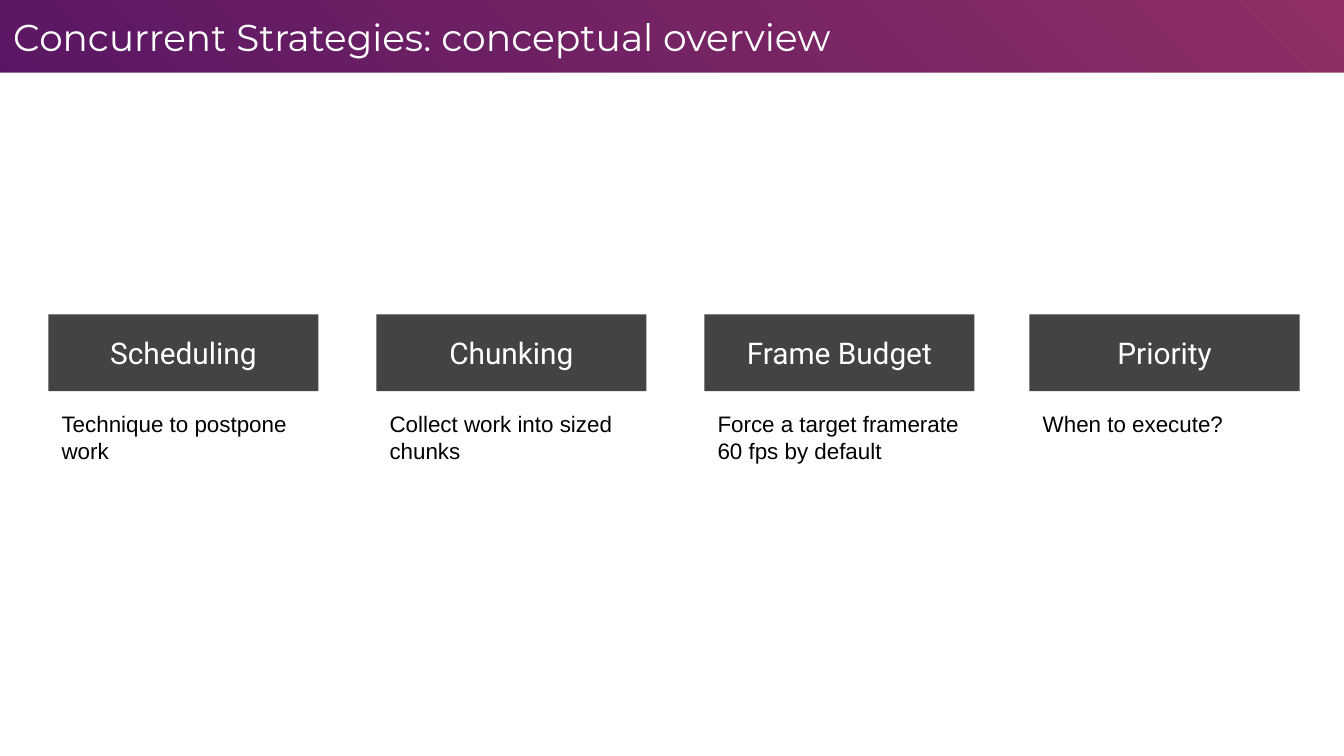
"""Build the conceptual overview slide of four concurrent strategies."""
from dataclasses import dataclass

from pptx import Presentation
from pptx.dml.color import RGBColor
from pptx.enum import shapes, text
from pptx.oxml import parse_xml
from pptx.util import Inches, Pt


@dataclass(frozen=True)
class Theme:
    gradient: tuple = ((0, "8F2F64"), (64, "5D1864"), (100, "2B0163"))
    white: str = "FFFFFF"
    header: str = "434343"
    body: str = "000000"
    title_font: str = "Montserrat"
    header_font: str = "Roboto"
    body_font: str = "Arial"
    title_size: float = 20
    subject_size: float = 20.2
    header_size: float = 16
    body_size: float = 12


THEME = Theme()
STRATEGIES = (
    (0.36, "Scheduling", "Technique to postpone work", 0.61),
    (2.8, "Chunking", "Collect work into sized chunks", 0.61),
    (5.24, "Frame Budget", "Force a target framerate\v60 fps by default", 0.61),
    (7.66, "Priority", "When to execute?", 0.4),
)
SLIDE_WIDTH = 10
SLIDE_HEIGHT = SLIDE_WIDTH * 9 / 16
BAND_HEIGHT = 0.54
COLUMN_WIDTH = 2.01
HEADER_TOP, HEADER_HEIGHT = 2.34, 0.57
BODY_TOP = 2.95


def paint_background(slide):
    stops = "".join(
        f'<a:gs pos="{position * 1000}"><a:srgbClr val="{color}"/></a:gs>'
        for position, color in THEME.gradient
    )
    slide.background.fill.solid()
    background = slide.element.cSld.bg.bgPr
    background.replace(background[0], parse_xml(
        '<a:gradFill xmlns:a="http://schemas.openxmlformats.org/drawingml/2006/main">'
        f'<a:gsLst>{stops}</a:gsLst><a:path path="circle">'
        '<a:fillToRect l="100000" b="100000"/></a:path></a:gradFill>'
    ))


def style_run(run, font, size, color):
    run.font.name = font
    run.font.size = Pt(size)
    run.font.color.rgb = RGBColor.from_string(color)


def write(frame, words, font, size, color, align=text.PP_ALIGN.LEFT,
          anchor=text.MSO_ANCHOR.TOP):
    frame.text = words
    frame.word_wrap = True
    frame.vertical_anchor = anchor
    frame.margin_left = frame.margin_right = Inches(0.1)
    frame.margin_top = frame.margin_bottom = Inches(0.1)
    for paragraph in frame.paragraphs:
        paragraph.alignment = align
        for run in paragraph.runs:
            style_run(run, font, size, color)


def add_panel(parent, left, top, width, height, color):
    panel = parent.add_shape(
        shapes.MSO_SHAPE.RECTANGLE,
        Inches(left), Inches(top), Inches(width), Inches(height),
    )
    panel.shadow.inherit = False
    panel.fill.solid()
    panel.fill.fore_color.rgb = RGBColor.from_string(color)
    panel.line.fill.background()
    return panel


def add_label(parent, left, top, width, height, words, font, size, color):
    label = parent.add_textbox(
        Inches(left), Inches(top), Inches(width), Inches(height)
    )
    write(label.text_frame, words, font, size, color)
    return label


def add_title(slide, topic, subject):
    title = add_label(slide.shapes, 0, 0, 9.01, BAND_HEIGHT, topic,
                      THEME.title_font, THEME.title_size, THEME.white)
    subject_run = title.text_frame.paragraphs[0].add_run()
    subject_run.text = subject
    style_run(subject_run, THEME.title_font, THEME.subject_size, THEME.white)


def add_strategy(slide, left, name, description, body_height):
    strategy = slide.shapes.add_group_shape().shapes
    header = add_panel(strategy, left, HEADER_TOP, COLUMN_WIDTH,
                       HEADER_HEIGHT, THEME.header)
    write(header.text_frame, name, THEME.header_font, THEME.header_size,
          THEME.white, text.PP_ALIGN.CENTER, text.MSO_ANCHOR.MIDDLE)
    body = add_label(strategy, left, BODY_TOP, COLUMN_WIDTH, body_height,
                     description, THEME.body_font, THEME.body_size, THEME.body)
    body.text_frame.auto_size = text.MSO_AUTO_SIZE.SHAPE_TO_FIT_TEXT


def main():
    deck = Presentation()
    deck.slide_width = Inches(SLIDE_WIDTH)
    deck.slide_height = Inches(SLIDE_HEIGHT)
    slide = deck.slides.add_slide(deck.slide_layouts[6])
    paint_background(slide)
    add_panel(slide.shapes, 0, BAND_HEIGHT, SLIDE_WIDTH,
              SLIDE_HEIGHT - BAND_HEIGHT, THEME.white)
    add_title(slide, "Concurrent Strategies: ", "conceptual overview")
    for left, name, description, body_height in STRATEGIES:
        add_strategy(slide, left, name, description, body_height)
    deck.save("out.pptx")


if __name__ == "__main__":
    main()
